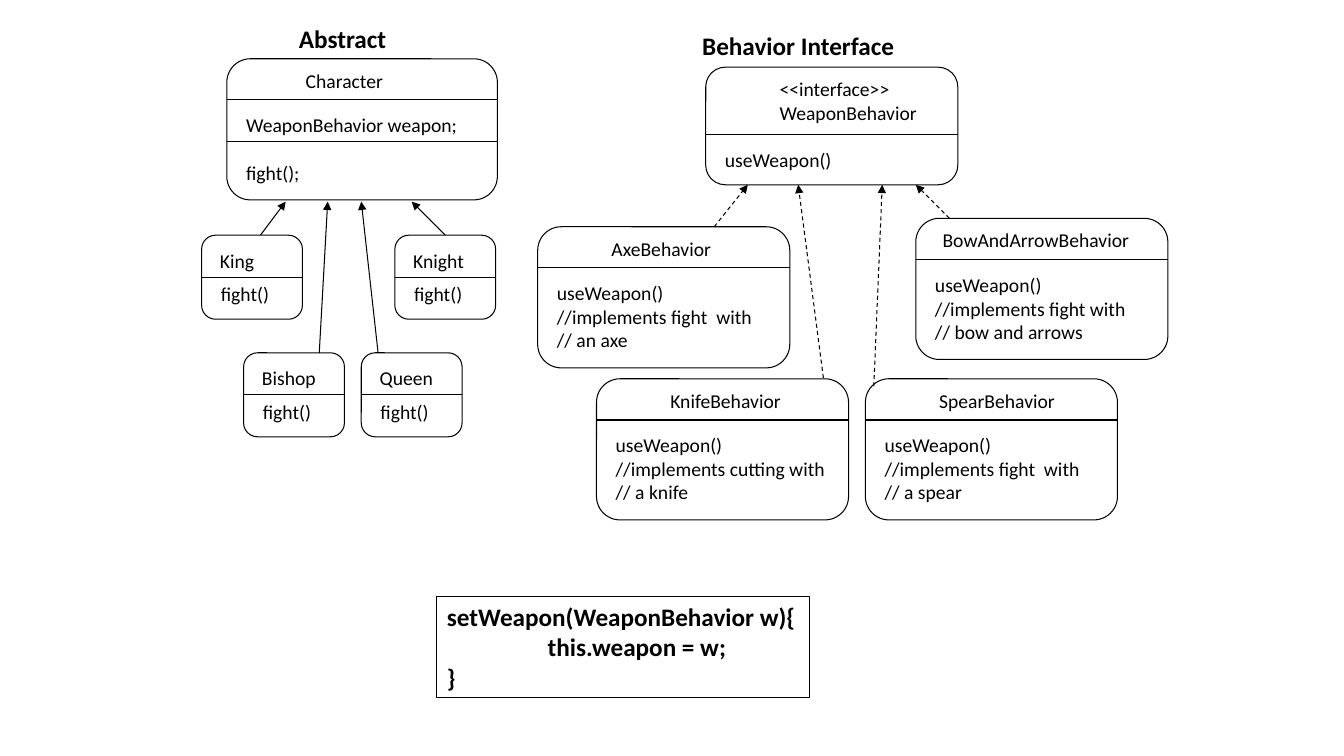
"""Draw the class diagram of game figures and their weapon types."""
import pptx
import pptx.util
import pptx.dml.color
import pptx.enum.dml
import pptx.enum.shapes
import pptx.oxml

COLOURS = {"ink": "000000"}
INK = pptx.dml.color.RGBColor.from_string(COLOURS["ink"])

deck = pptx.Presentation()
deck.slide_width = pptx.util.Inches(13.33)
deck.slide_height = pptx.util.Inches(7.5)
slide = deck.slides.add_slide(deck.slide_layouts[6])
UNIT = deck.slide_height / 90


def write(shapes, place, text, size=14, bold=False, wrap=False):
    """Add a text box, placed in grid units."""
    box = shapes.add_textbox(*[round(n * UNIT) for n in place])
    frame = box.text_frame
    frame.word_wrap = wrap
    frame.text = text
    for para in frame.paragraphs:
        for run in para.runs:
            run.font.name = "Calibri"
            run.font.size = pptx.util.Pt(size)
            run.font.bold = bold
            run.font.color.rgb = INK
    return box


def rule(shapes, ends):
    """Add a thin line between two grid points."""
    line = shapes.add_connector(
        pptx.enum.shapes.MSO_CONNECTOR.STRAIGHT, *[round(n * UNIT) for n in ends])
    line.line.color.rgb = INK
    line.line.width = pptx.util.Pt(0.75)
    pptx.oxml.ns  # noqa
    line._element.spPr.append(pptx.oxml.parse_xml(
        '<a:effectLst xmlns:a="http://schemas.openxmlformats.org/drawingml/2006/main"/>'))
    return line


LARGE = (30, 16.8, 0.6, [4.9], 1)
SMALL = (12, 10, 1, [5], 0)
USE = "useWeapon()\n//implements "
cards = [
    (27, 7, (32.2, 16.8, 0.6, [4.9, 9.9], 1), "Character", 8.2, 11.8,
     "WeaponBehavior weapon;\nfight();"),
    (71, 45.1, LARGE, "KnifeBehavior", 7.6, 15.7, USE + "cutting with\n// a knife"),
    (109, 26, LARGE, "BowAndArrowBehavior", 2, 24.8, USE + "fight with\n// bow and arrows"),
    (64, 27, LARGE, "AxeBehavior", 7.6, 14.4, USE + "fight  with\n// an axe"),
    (84, 8, (30, 14, 0.6, [8], 1), "<<interface>>\nWeaponBehavior", 7.6, 19, "useWeapon()"),
    (43, 42, SMALL, "Queen", 1, 8.9, "fight()"),
    (24, 28, SMALL, "King", 1, 6.6, "fight()"),
    (47, 28, SMALL, "Knight", 1, 8.5, "fight()"),
    (29, 42, SMALL, "Bishop", 1, 8.9, "fight()"),
    (103, 45.1, LARGE, "SpearBehavior", 7.6, 16.3, USE + "fight  with\n// a spear"),
]
for left, top, (wide, high, drop, rows, gap), name, shift, span, body in cards:
    parts = slide.shapes.add_group_shape().shapes
    frame = parts.add_shape(
        pptx.enum.shapes.MSO_SHAPE.ROUNDED_RECTANGLE,
        *[round(n * UNIT) for n in (left, top, wide, high)])
    frame.shadow.inherit = False
    frame.fill.background()
    frame.line.color.rgb = INK
    frame.line.width = pptx.util.Pt(0.75)
    write(parts, (left + shift, top + drop, span, 4.1 + 2.8 * name.count("\n")), name)
    for row in rows:
        rule(parts, (left, top + row, left + wide, top + row))
    start = rows[0] + gap
    text = write(parts, (left + 1.1, top + start, wide - 2.1, high - start - 1), body, wrap=True)
    if name == "Character":
        text.text_frame.paragraphs[1].space_before = pptx.util.Pt(17)

code = write(slide.shapes, (52, 71, 44.3, 12.1),
             "setWeapon(WeaponBehavior w){\nthis.weapon = w;\n}", 18, True)
code.line.color.rgb = INK
code.line.width = pptx.util.Pt(0.75)
inner = code.text_frame.paragraphs[1]
inner._p.get_or_add_pPr().set("marL", str(pptx.util.Inches(1)))

write(slide.shapes, (34.4, 2.2, 12.8, 4.8), "Abstract", 18, True)
write(slide.shapes, (82.4, 3, 25.4, 4.8), "Behavior Interface", 18, True)

arrows = {
    True: [(85, 27, 89, 22), (113, 26, 109, 22), (98, 45, 95, 22), (104, 46, 105, 22)],
    False: [(31, 28, 34, 24), (53, 28, 49, 24), (38, 42, 39, 24), (45, 42, 43, 24)],
}
for dashed, paths in arrows.items():
    for ends in paths:
        arrow = rule(slide.shapes, ends)
        if dashed:
            arrow.line.dash_style = pptx.enum.dml.MSO_LINE.DASH
        arrow.line._get_or_add_ln().append(pptx.oxml.parse_xml(
            '<a:tailEnd xmlns:a="http://schemas.openxmlformats.org/drawingml/2006/main"'
            ' type="triangle"/>'))

deck.save("out.pptx")
